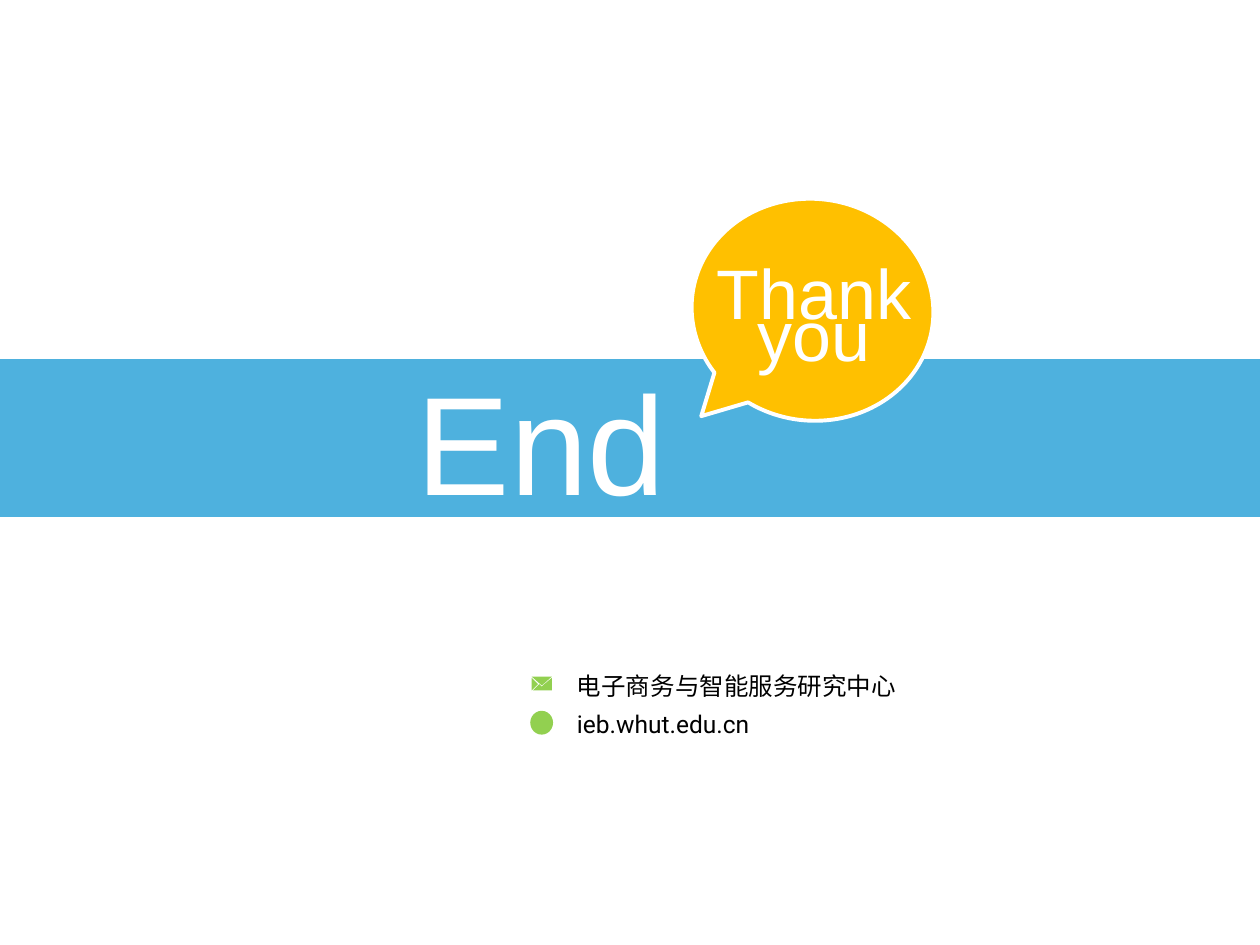
from dataclasses import dataclass

from pptx import Presentation
from pptx.dml.color import RGBColor
from pptx.enum.shapes import MSO_SHAPE
from pptx.enum.text import MSO_ANCHOR, MSO_AUTO_SIZE, PP_ALIGN
from pptx.util import Cm, Pt

WHITE, BLACK, BLUE, AMBER, GREEN = "FFFFFF", "000000", "4EB1DE", "FFC000", "92D050"


@dataclass
class Box:
    left: float
    top: float
    width: float
    height: float

    def lengths(self) -> list:
        return [Cm(value) for value in (self.left, self.top, self.width, self.height)]


@dataclass
class Label:
    box: Box
    lines: tuple
    size: int
    font: str = "Arial"
    color: str = WHITE
    align: PP_ALIGN = PP_ALIGN.LEFT
    anchor: MSO_ANCHOR = MSO_ANCHOR.TOP
    auto_size: MSO_AUTO_SIZE = MSO_AUTO_SIZE.SHAPE_TO_FIT_TEXT
    spacing: float = 1.0


def rgb(value: str) -> RGBColor:
    return RGBColor.from_string(value)


def set_values(target, values: dict) -> None:
    for name, value in values.items():
        setattr(target, name, value)


def paint(shape, fill: str, line: str = "") -> None:
    shape.shadow.inherit = False
    shape.fill.solid()
    shape.fill.fore_color.rgb = rgb(fill)
    if line:
        shape.line.color.rgb = rgb(line)
        shape.line.width = Pt(2.25)
    else:
        shape.line.fill.background()


def add_preset(slide, preset: MSO_SHAPE, box: Box, fill: str, line: str = ""):
    shape = slide.shapes.add_shape(preset, *box.lengths())
    paint(shape, fill, line)
    return shape


def write_label(shape, label: Label) -> None:
    set_values(shape, dict(zip(("left", "top", "width", "height"), label.box.lengths())))
    frame = shape.text_frame
    frame.text = "\n".join(label.lines)
    set_values(frame, {"word_wrap": False, "auto_size": label.auto_size,
                       "vertical_anchor": label.anchor})
    for paragraph in frame.paragraphs:
        set_values(paragraph, {"alignment": label.align, "line_spacing": label.spacing})
        for run in paragraph.runs:
            set_values(run.font, {"name": label.font, "size": Pt(label.size)})
            run.font.color.rgb = rgb(label.color)


def add_label(slide, label: Label) -> None:
    write_label(slide.shapes.add_textbox(*label.box.lengths()), label)


def add_envelope(slide, left: float, top: float) -> None:
    """Draw four flaps on a grid of hundredths of an inch."""
    flaps = [
        [(6, 6), (8, 8), (10, 6), (16, 11), (1, 11)],
        [(0, 1), (5, 6), (0, 11)],
        [(16, 1), (16, 11), (10, 6)],
        [(0, 0), (16, 0), (8, 7)],
    ]
    builder = slide.shapes.build_freeform(*flaps[0][0], scale=Cm(2.54) / 100)
    for flap in flaps:
        builder.move_to(*flap[0])
        builder.add_line_segments(flap[1:], close=True)
    paint(builder.convert_to_shape(Cm(left), Cm(top)), GREEN)


def main() -> None:
    presentation = Presentation()
    presentation.slide_width, presentation.slide_height = Cm(25.4), Cm(19.05)
    slide = presentation.slides.add_slide(presentation.slide_layouts[5])

    # Band with the title in front of it
    add_preset(slide, MSO_SHAPE.RECTANGLE, Box(0, 7.24, 25.4, 3.18), BLUE)
    title = slide.shapes.title
    slide.shapes._spTree.append(title._element)
    write_label(title, Label(Box(8.15, 7.04, 5.56, 3.66), ("End",), 80))

    # Speech bubble
    bubble = add_preset(slide, MSO_SHAPE.OVAL_CALLOUT, Box(13.94, 4.01, 4.88, 4.47), AMBER, WHITE)
    bubble.rotation = 7.3
    bubble.adjustments[0], bubble.adjustments[1] = -0.4, 0.54
    add_label(slide, Label(Box(14.12, 5.64, 4.57, 1.96), ("Thank", "you"), 40,
                           align=PP_ALIGN.CENTER, spacing=0.5))

    # Contact lines
    contacts = [("电子商务与智能服务研究中心", 4.17), ("ieb.whut.edu.cn", 6.91)]
    for index, (text, width) in enumerate(contacts):
        add_label(slide, Label(Box(11.38, 13.44 + 0.76 * index, width, 0.76), (text,), 14,
                               "Roboto", BLACK, anchor=MSO_ANCHOR.MIDDLE,
                               auto_size=MSO_AUTO_SIZE.NONE))

    # Contact icons
    add_envelope(slide, 10.72, 13.64)
    add_preset(slide, MSO_SHAPE.OVAL, Box(10.69, 14.33, 0.46, 0.48), GREEN)

    presentation.save("out.pptx")


if __name__ == "__main__":
    main()
